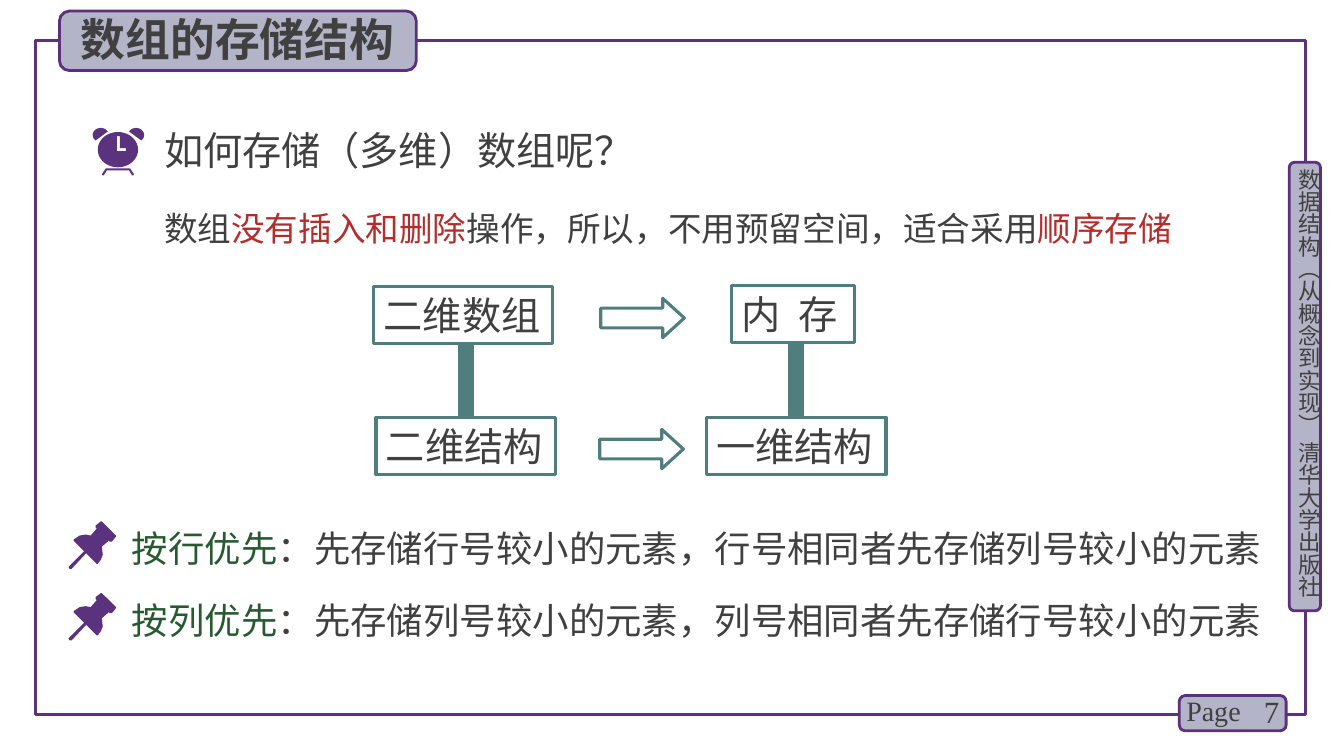
import math

import pptx
import pptx.dml.color
import pptx.enum.shapes
import pptx.enum.text
import pptx.oxml.ns
import pptx.util
from lxml import etree

COLORS = {
    "frame": "5A327D", "badge_line": "5C307D", "badge": "B4B4C8", "text": "404040",
    "teal": "507D7D", "red": "B42D2D", "green": "285A32",
}
CJK, LATIN = "Noto Sans CJK SC", "Times New Roman"
COLUMNS, CELL = 40, pptx.util.Inches(1) / 3  # square cells, three to the inch
ROWS = 22.5
ICON_UNIT = 0.03  # cells per icon unit

SHAPES = pptx.enum.shapes.MSO_SHAPE
ALIGN = pptx.enum.text.PP_ALIGN
ANCHOR = pptx.enum.text.MSO_ANCHOR
GROW = pptx.enum.text.MSO_AUTO_SIZE.SHAPE_TO_FIT_TEXT


def cells(count):
    return round(count * CELL)


def color(name):
    return pptx.dml.color.RGBColor.from_string(COLORS[name])


def arc(center_x, center_y, radius_x, radius_y, start, end):
    """Points along an ellipse, angles in degrees, clockwise from the right."""
    angles = [math.radians(start + (end - start) * step / 36) for step in range(37)]
    return [(center_x + radius_x * math.cos(a), center_y + radius_y * math.sin(a))
            for a in angles]


LEFT_BELL = arc(8, 7, 8, 7, 130, 330)
CLOCK = [
    [LEFT_BELL],
    [[(51 - x, y) for x, y in LEFT_BELL]],
    [arc(25, 21.5, 20, 17.5, 0, 360),
     [(24, 8), (27, 8), (27, 20), (33, 20), (33, 23), (24, 23)]],
    [[(41, 46), (37, 40), (13, 40), (9, 46), (10, 47), (11, 47), (14, 42),
      (36, 42), (39, 47), (40, 47)]],
]
PIN = [
    [[(47, 14), (33, 0), (32, 0), (27, 4), (27, 6), (28, 7), (22, 14), (17, 13),
      (11, 14), (5, 18), (5, 19), (28, 42), (29, 42), (32, 38), (34, 33),
      (33, 25), (40, 19), (41, 20), (43, 20), (47, 15)]],
    [[(2, 47), (1, 47), (0, 45), (1, 44), (16, 29), (18, 28), (19, 29), (18, 31),
      (3, 47)]],
]


class SlideBuilder:
    """Holds the slide and draws styled elements; lengths are in grid cells."""

    def __init__(self, presentation):
        self.slide = presentation.slides.add_slide(presentation.slide_layouts[5])
        self.shapes = self.slide.shapes

    def paint(self, shape, fill=None, line=None, width=2.25):
        shape.shadow.inherit = False
        if fill:
            shape.fill.solid()
            shape.fill.fore_color.rgb = color(fill)
        else:
            shape.fill.background()
        if line:
            shape.line.color.rgb = color(line)
            shape.line.width = pptx.util.Pt(width)
        else:
            shape.line.fill.background()

    def preset(self, kind, place, **style):
        shape = self.shapes.add_shape(kind, *map(cells, place))
        self.paint(shape, **style)
        return shape

    def badge(self, place):
        self.preset(SHAPES.ROUNDED_RECTANGLE, place, fill="badge", line="badge_line", width=2)

    def set_text(self, shape, runs, size, font=CJK, bold=False, align=ALIGN.LEFT, **frame_format):
        """Fill a shape with one paragraph of (text, colour name[, tracking]) runs."""
        frame = shape.text_frame
        settings = {"word_wrap": True, "auto_size": GROW, "vertical_anchor": ANCHOR.TOP}
        for name, value in {**settings, **frame_format}.items():
            setattr(frame, name, value)
        paragraph = frame.paragraphs[0]
        paragraph.alignment = align
        for text, color_name, *tracking in runs:
            run = paragraph.add_run()
            run.text = text
            for name, value in {"size": pptx.util.Pt(size), "name": font, "bold": bold}.items():
                setattr(run.font, name, value)
            run.font.color.rgb = color(color_name)
            properties = run.font._element
            etree.SubElement(properties, pptx.oxml.ns.qn("a:ea"), typeface=font)
            for spacing in tracking:
                properties.set("spc", str(spacing * 100))

    def text(self, place, runs, size, **style):
        box = self.shapes.add_textbox(*map(cells, place))
        self.set_text(box, runs, size, **style)
        return box

    def title(self, place, text):
        title = self.shapes.title
        for name, value in zip(("left", "top", "width", "height"), place):
            setattr(title, name, cells(value))
        self.set_text(title, [(text, "text")], 32, bold=True)
        self.shapes._spTree.append(title._element)  # in front of its badge

    def label_box(self, place, runs):
        box = self.preset(SHAPES.RECTANGLE, place, line="teal")
        self.set_text(box, runs, 28, word_wrap=False)

    def arrow(self, place):
        arrow = self.preset(SHAPES.RIGHT_ARROW, place, line="teal")
        arrow.adjustments[1] = 0.55

    def icon(self, left, top, outlines):
        """Draw filled outlines, each a list of contours in icon units."""
        for contours in outlines:
            placed = [[(cells(left + x * ICON_UNIT), cells(top + y * ICON_UNIT))
                       for x, y in contour] for contour in contours]
            builder = self.shapes.build_freeform(*placed[0][0])
            for index, contour in enumerate(placed):
                if index:
                    builder.move_to(*contour[0])
                builder.add_line_segments(contour[1:], close=True)
            self.paint(builder.convert_to_shape(), fill="frame")


def draw_surround(page):
    page.preset(SHAPES.RECTANGLE, (1.05, 1.2, 37.8, 20.07), line="frame")
    page.badge((38.37, 4.83, 0.93, 13.35))
    margins = dict.fromkeys(("margin_left", "margin_top", "margin_right", "margin_bottom"), 0)
    side = page.text((38.55, 5.01, 0.81, 13.47),
                     [("数据结构（从概念到实现） 清华大学出版社", "text")], 16, **margins)
    side.text_frame._txBody.bodyPr.set("vert", "eaVert")
    page.badge((35.1, 20.7, 3.18, 1.05))
    page.text((36.6, 20.58, 1.77, 1.2), [("7", "text")], 22, font=LATIN, align=ALIGN.RIGHT,
              auto_size=pptx.enum.text.MSO_AUTO_SIZE.NONE, vertical_anchor=ANCHOR.MIDDLE)
    page.text((35.01, 20.49, 2.34, 1.32), [("Page", "text")], 20, font=LATIN)
    page.badge((1.77, 0.33, 10.62, 1.77))
    page.title((2.1, 0.21, 11.28, 1.92), "数组的存储结构")


def draw_question(page):
    page.text((4.59, 3.6, 21.78, 1.71), [("如何存储（多维）数组呢？", "text")], 28)
    page.icon(2.76, 3.81, CLOCK)
    page.text((4.59, 6.03, 32.16, 1.5), [
        ("数组", "text"), ("没有插入和删除", "red"),
        ("操作，所以，不用预留空间，适合采用", "text"), ("顺序存储", "red"),
    ], 24, align=ALIGN.JUSTIFY)


def draw_mapping(page):
    page.label_box((11.13, 8.52, 5.31, 1.71), [("二维数组", "text")])
    page.label_box((21.78, 8.49, 3.66, 1.71), [("内", "text"), (" ", "text", 6), ("存", "text")])
    for left, text in ((11.19, "二维结构"), (21.03, "一维结构")):
        page.label_box((left, 12.42, 5.34, 1.71), [(text, "text")])
    for left, top in ((17.88, 8.88), (17.85, 12.78)):
        page.arrow((left, top, 2.49, 1.17))
    for left, top in ((13.65, 10.29), (23.46, 10.23)):
        page.preset(SHAPES.RECTANGLE, (left, top, 0.45, 2.13), fill="teal", line="teal", width=0.5)


def draw_orders(page):
    orders = (("行", "列"), ("列", "行"))
    for index, (first, second) in enumerate(orders):
        top = 15.52 + index * 2.13
        page.icon(2.04, top, PIN)
        page.text((3.63, top, 34.83, 1.62), [
            (f"按{first}优先", "green"),
            (f"：先存储{first}号较小的元素，{first}号相同者先存储{second}号较小的元素", "text"),
        ], 26)


def main():
    presentation = pptx.Presentation()
    presentation.slide_width = cells(COLUMNS)
    presentation.slide_height = cells(ROWS)
    page = SlideBuilder(presentation)
    for draw in (draw_surround, draw_question, draw_mapping, draw_orders):
        draw(page)
    presentation.save("out.pptx")


if __name__ == "__main__":
    main()
